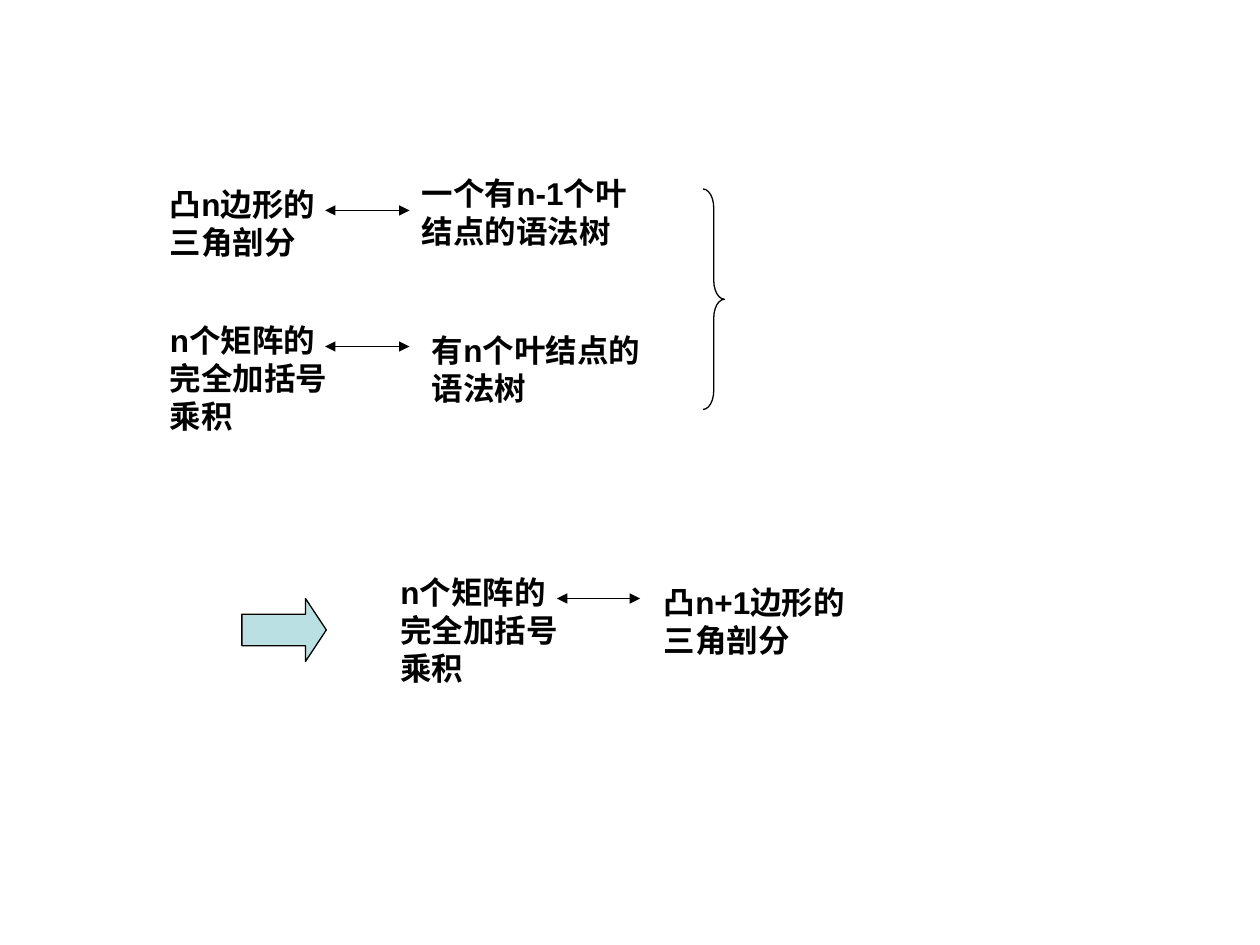
from dataclasses import dataclass

from lxml.etree import SubElement
from pptx import Presentation
from pptx.dml.color import RGBColor
from pptx.enum.shapes import MSO_CONNECTOR, MSO_SHAPE
from pptx.enum.text import MSO_AUTO_SIZE
from pptx.oxml.ns import qn
from pptx.util import Inches, Pt


@dataclass(frozen=True)
class Theme:
    """Colours, font and sizes of the slide."""

    ink: RGBColor = RGBColor(0x00, 0x00, 0x00)
    arrow_fill: RGBColor = RGBColor(0xBB, 0xE0, 0xE3)
    font: str = "Arial"
    text_size: Pt = Pt(18)
    line_width: Pt = Pt(0.75)


THEME = Theme()


def style_line(line):
    """Give an outline the theme's ink and width."""
    line.color.rgb = THEME.ink
    line.width = THEME.line_width


def add_statement(shapes, wording, left, top, width, height):
    """Add one side of an equivalence as wrapped bold text."""
    statement = shapes.add_textbox(Inches(left), Inches(top), Inches(width), Inches(height))
    frame = statement.text_frame
    frame.word_wrap = True
    frame.auto_size = MSO_AUTO_SIZE.SHAPE_TO_FIT_TEXT
    run = frame.paragraphs[0].add_run()
    run.text = wording
    run.font.name = THEME.font
    run.font.size = THEME.text_size
    run.font.bold = True
    run.font.color.rgb = THEME.ink


def add_double_arrow(shapes, start, end, y):
    """Add a horizontal line with an arrowhead at both ends."""
    link = shapes.add_connector(
        MSO_CONNECTOR.STRAIGHT, Inches(start), Inches(y), Inches(end), Inches(y)
    )
    style_line(link.line)
    outline = link.line._get_or_add_ln()
    for end_tag in ("a:headEnd", "a:tailEnd"):
        SubElement(outline, qn(end_tag), type="triangle")
    SubElement(link._element.spPr, qn("a:effectLst"))


def add_equivalence(slide, first, second, link):
    """Group two statements with the double arrow between them."""
    shapes = slide.shapes.add_group_shape().shapes
    add_statement(shapes, *first)
    add_statement(shapes, *second)
    add_double_arrow(shapes, *link)


def add_outlined(shapes, preset, left, top, width, height, adjustments, fill=None):
    """Add an outlined preset shape with an optional fill."""
    symbol = shapes.add_shape(preset, Inches(left), Inches(top), Inches(width), Inches(height))
    symbol.shadow.inherit = False
    for index, value in enumerate(adjustments):
        symbol.adjustments[index] = value
    if fill is None:
        symbol.fill.background()
    else:
        symbol.fill.solid()
        symbol.fill.fore_color.rgb = fill
    style_line(symbol.line)


def add_inference(slide):
    """Add the brace joining the premises and the arrow to the conclusion."""
    shapes = slide.shapes.add_group_shape().shapes
    add_outlined(shapes, MSO_SHAPE.RIGHT_BRACE, 5.58, 1.5, 0.17, 1.75, (0.88, 0.5))
    add_outlined(
        shapes, MSO_SHAPE.RIGHT_ARROW, 1.92, 4.75, 0.67, 0.5, (0.5, 0.33), THEME.arrow_fill
    )


def main():
    """Build and save the slide."""
    deck = Presentation()
    deck.slide_width, deck.slide_height = Inches(10), Inches(7.5)
    slide = deck.slides.add_slide(deck.slide_layouts[6])
    matrix_product = "n个矩阵的完全加括号乘积"
    add_equivalence(
        slide,
        ("凸n边形的三角剖分", 1.25, 1.42, 1.58, 0.7),
        ("一个有n-1个叶结点的语法树", 3.25, 1.33, 1.92, 1),
        (2.58, 3.25, 1.67),
    )
    add_equivalence(
        slide,
        (matrix_product, 1.25, 2.5, 1.58, 1),
        ("有n个叶结点的语法树", 3.33, 2.58, 1.92, 0.7),
        (2.58, 3.25, 2.75),
    )
    add_inference(slide)
    add_equivalence(
        slide,
        (matrix_product, 3.08, 4.5, 1.58, 1),
        ("凸n+1边形的三角剖分", 5.17, 4.58, 1.67, 0.7),
        (4.42, 5.08, 4.75),
    )
    deck.save("out.pptx")


if __name__ == "__main__":
    main()
